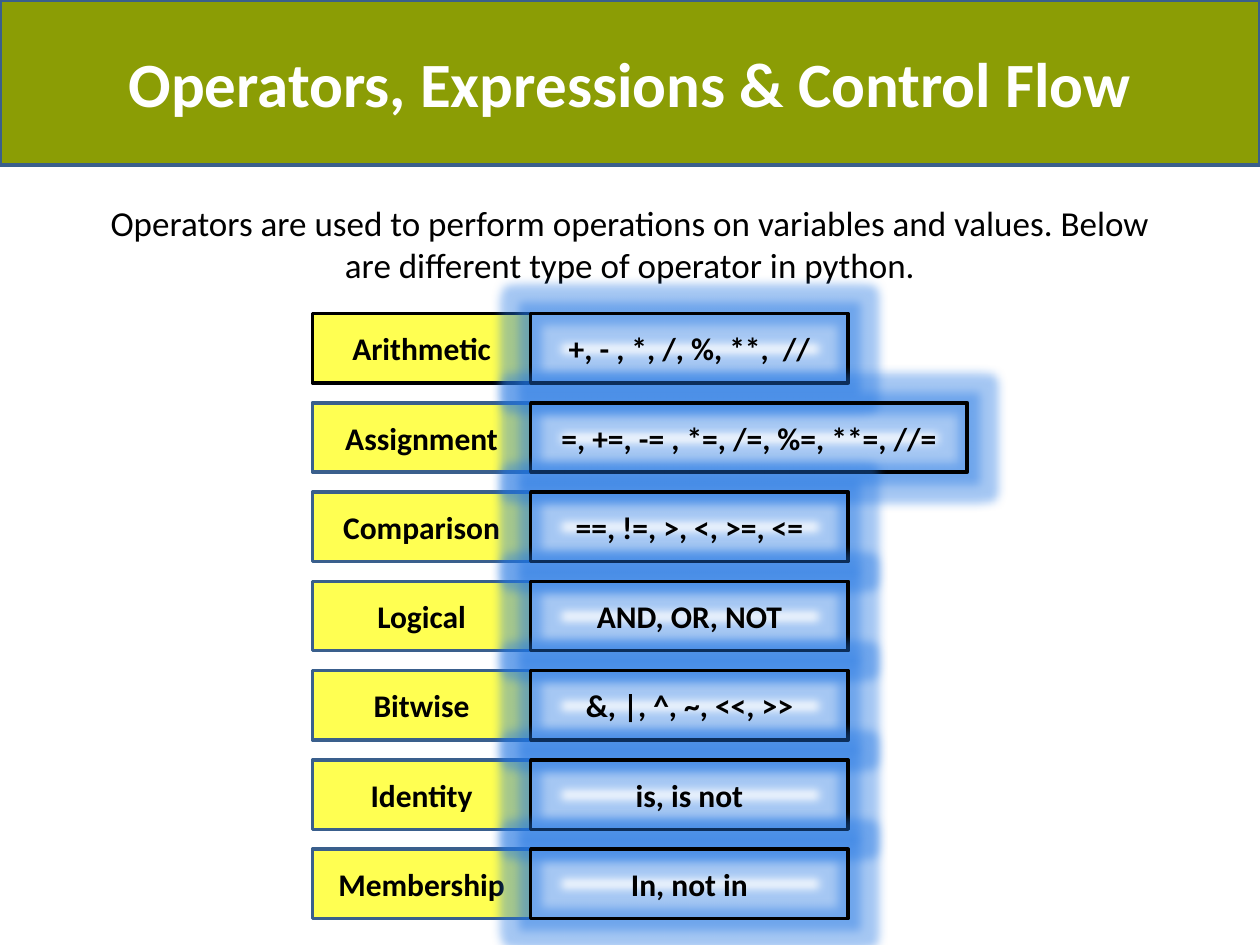
from dataclasses import dataclass

from lxml import etree
from pptx import Presentation
from pptx.dml.color import RGBColor
from pptx.enum.shapes import MSO_SHAPE
from pptx.enum.text import MSO_ANCHOR, PP_ALIGN
from pptx.oxml.ns import qn
from pptx.util import Cm, Pt


@dataclass(frozen=True)
class Theme:
    font: str = "Calibri"
    banner: str = "8B9D05"
    border: str = "3A5F8C"
    label: str = "FFFF00"
    glow: str = "2075E3"
    black: str = "000000"
    white: str = "FFFFFF"
    title_size: int = 36
    intro_size: int = 20
    cell_size: int = 18


T = Theme()
OPERATORS = [
    ("Arithmetic", "+, - , *, /, %, **,  //"),
    ("Assignment", "=, +=, -= , *=, /=, %=, **=, //="),
    ("Comparison", "==, !=, >, <, >=, <="),
    ("Logical", "AND, OR, NOT"),
    ("Bitwise", "&, |, ^, ~, <<, >>"),
    ("Identity", "is, is not"),
    ("Membership", "In, not in"),
]


def write(shape, text, size, color=T.black, bold=False):
    tf = shape.text_frame
    tf.word_wrap = True
    tf.vertical_anchor = MSO_ANCHOR.MIDDLE
    p = tf.paragraphs[0]
    p.alignment = PP_ALIGN.CENTER
    r = p.add_run()
    r.text = text
    r.font.name = T.font
    r.font.size = Pt(size)
    r.font.bold = bold
    r.font.color.rgb = RGBColor.from_string(color)


def add_box(s, x, y, w, h, line, fill=None):
    """Add an outlined rectangle, measured in centimetres; no fill by default."""
    sp = s.shapes.add_shape(MSO_SHAPE.RECTANGLE, Cm(x), Cm(y), Cm(w), Cm(h))
    sp.shadow.inherit = False
    sp.line.color.rgb = RGBColor.from_string(line)
    sp.line.width = Pt(2)
    if fill:
        sp.fill.solid()
        sp.fill.fore_color.rgb = RGBColor.from_string(fill)
    else:
        sp.fill.background()
    return sp


def set_alpha(color, percent):
    etree.SubElement(color, qn("a:alpha")).set("val", str(percent * 1000))


def add_glow(sp, radius):
    effects = sp._element.spPr.find(qn("a:effectLst"))
    glow = etree.SubElement(effects, qn("a:glow"), rad=str(radius))
    color = etree.SubElement(glow, qn("a:srgbClr"), val=T.glow)
    set_alpha(color, 40)


def add_banner(s, x, y, w, h):
    sp = add_box(s, x, y, w, h, T.border, T.banner)
    write(sp, "Operators, Expressions & Control Flow", T.title_size, T.white, bold=True)


def add_intro(s, x, y, w, h):
    sp = s.shapes.add_textbox(Cm(x), Cm(y), Cm(w), Cm(h))
    write(sp, "Operators are used to perform operations on variables and values. "
              "Below are different type of operator in python.", T.intro_size)


def add_operator_rows(s, x, y, w, h):
    """Stack the label and value pairs; only a long value takes the full width."""
    label_w, short_w, row_h = 4.4, 6.4, 1.4
    pitch = (h - row_h) / (len(OPERATORS) - 1)
    for i, (name, _) in enumerate(OPERATORS):
        line = T.black if i == 0 else T.border
        sp = add_box(s, x, y + i * pitch, label_w, row_h, line, T.label)
        set_alpha(sp._element.spPr.find(qn("a:solidFill"))[0], 68)
        write(sp, name, T.cell_size, bold=True)
    for i, (_, symbols) in enumerate(OPERATORS):
        value_w = w - label_w if len(symbols) > 25 else short_w
        sp = add_box(s, x + label_w, y + i * pitch, value_w, row_h, T.black)
        add_glow(sp, Pt(11))
        write(sp, symbols, T.cell_size, bold=True)


def main():
    prs = Presentation()
    prs.slide_width, prs.slide_height = Cm(25.4), Cm(19.05)
    s = prs.slides.add_slide(prs.slide_layouts[6])
    add_banner(s, 0, 0, 25.4, 3.33)
    add_intro(s, 1.9, 3.9, 21.6, 2)
    add_operator_rows(s, 6.3, 6.32, 13.2, 12.2)
    prs.save("out.pptx")


if __name__ == "__main__":
    main()
